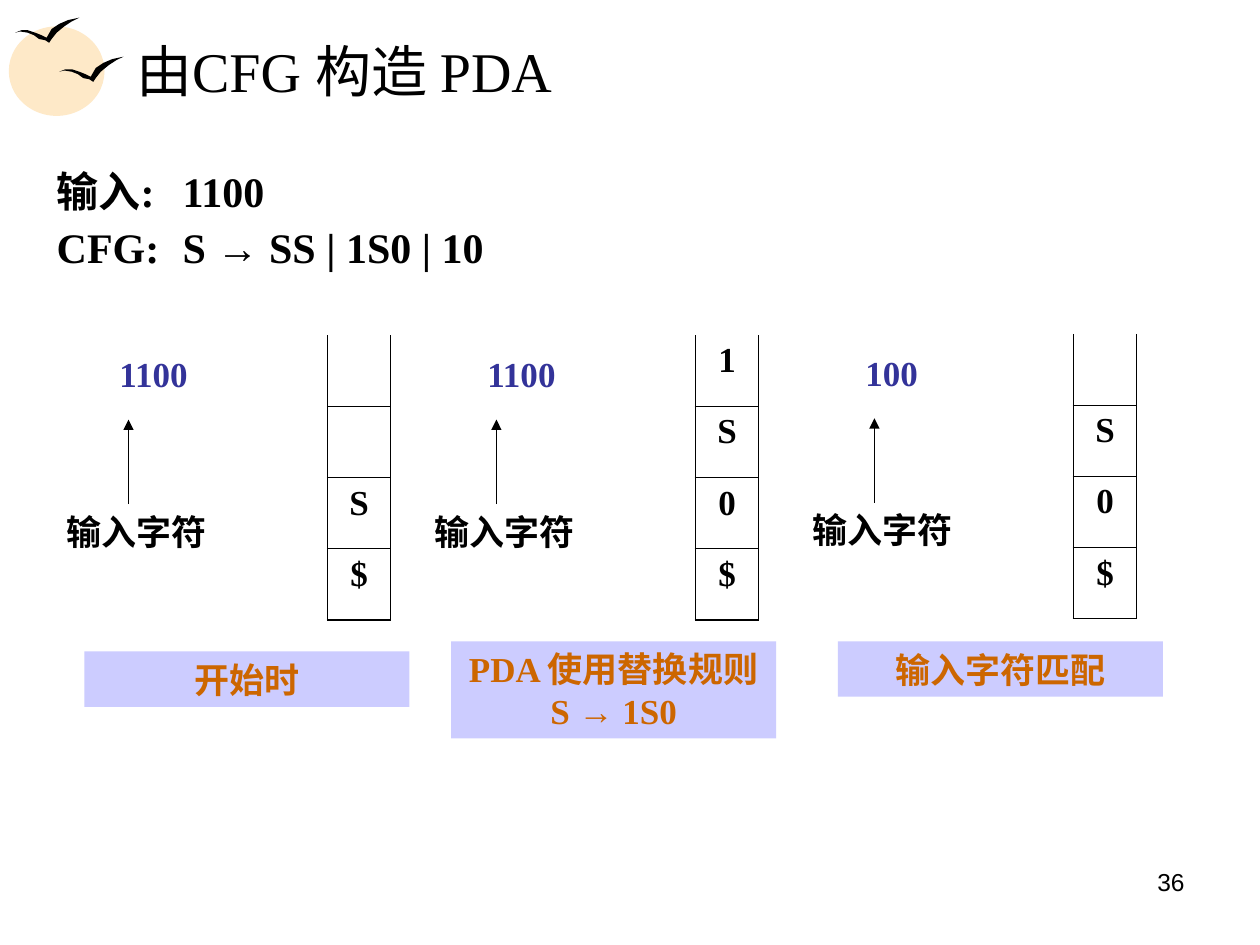
from dataclasses import dataclass

from lxml import etree
from pptx import Presentation
from pptx.dml.color import RGBColor
from pptx.enum.shapes import MSO_CONNECTOR, MSO_SHAPE
from pptx.enum.text import MSO_ANCHOR, MSO_AUTO_SIZE, PP_ALIGN
from pptx.oxml import parse_xml
from pptx.oxml.ns import nsdecls, qn
from pptx.util import Inches, Pt

LEFT, CENTER, RIGHT = PP_ALIGN.LEFT, PP_ALIGN.CENTER, PP_ALIGN.RIGHT
TOP, MIDDLE = MSO_ANCHOR.TOP, MSO_ANCHOR.MIDDLE
NO_AUTOFIT = MSO_AUTO_SIZE.NONE
OVAL, RECTANGLE = MSO_SHAPE.OVAL, MSO_SHAPE.RECTANGLE
STRAIGHT = MSO_CONNECTOR.STRAIGHT


@dataclass(frozen=True)
class Theme:
    serif: str = "Times New Roman"
    sans: str = "Arial"
    ink: str = "000000"
    input_blue: str = "333399"
    caption_text: str = "CC6600"
    caption_fill: str = "CCCCFF"
    sun: str = "FEE9C8"
    title_size: float = 32
    body_size: float = 24
    label_size: float = 20
    number_size: float = 14
    thin: float = 0.45
    arrow: float = 0.75
    thick: float = 1.08


THEME = Theme()
ARROW_SIGN = "→"
# Hundredths of an inch, from the left wing tip along the upper edge and back
BIRD_OUTLINE = [
    (0, 12), (5, 10), (10, 10), (16, 12), (21, 14), (25, 16), (29, 9),
    (35, 5), (42, 2), (51, 0), (45, 3), (39, 7), (33, 12), (29, 17),
    (27, 20), (24, 18), (19, 17), (15, 14), (10, 12), (4, 11),
]
# Panel left and top, remaining input, stack, caption, caption box
PANELS = [
    (0.43, 2.66, "1100", ["", "", "S", "$"], "开始时",
     (0.67, 5.17, 2.58, 0.44)),
    (3.35, 2.66, "1100", ["1", "S", "0", "$"], "PDA 使用替换规则S → 1S0",
     (3.58, 5.09, 2.58, 0.77)),
    (6.35, 2.65, "100", ["", "S", "0", "$"], "输入字符匹配",
     (6.65, 5.09, 2.58, 0.44)),
]


def inches(*lengths):
    return [Inches(length) for length in lengths]


def write(para, text, size, color=THEME.ink, bold=True, align=LEFT, font=THEME.serif):
    """Fill a paragraph, setting any arrow sign in the sans font."""
    before, sign, after = text.partition(ARROW_SIGN)
    para.text = before
    for part in filter(None, (sign, after)):
        para.add_run().text = part
    para.alignment = align
    for span in para.runs:
        span.font.name = THEME.sans if span.text == ARROW_SIGN else font
        span.font.size = Pt(size)
        span.font.bold = bold
        span.font.color.rgb = RGBColor.from_string(color)


def paint(shape, color):
    shape.shadow.inherit = False
    shape.fill.solid()
    shape.fill.fore_color.rgb = RGBColor.from_string(color)
    shape.line.fill.background()


def add_text(page, box, text, size, **style):
    frame = page.shapes.add_textbox(*inches(*box)).text_frame
    frame.word_wrap = True
    write(frame.paragraphs[0], text, size, **style)


def add_emblem(page, left, top):
    """Draw the sun with two birds over it."""
    sun = page.shapes.add_shape(OVAL, *inches(left, top + 0.07, 0.76, 0.71))
    paint(sun, THEME.sun)
    for x, y in ((0.4, 0.31), (0.05, 0)):
        builder = page.shapes.build_freeform(*BIRD_OUTLINE[0], scale=Inches(0.01))
        builder.add_line_segments(BIRD_OUTLINE[1:], close=True)
        paint(builder.convert_to_shape(*inches(left + x, top + y)), THEME.ink)


def place(holder, box, anchor):
    holder.left, holder.top, holder.width, holder.height = inches(*box)
    frame = holder.text_frame
    frame.word_wrap = True
    frame.auto_size = NO_AUTOFIT
    frame.vertical_anchor = anchor
    return frame


def add_title(page, box, text):
    frame = place(page.shapes.title, box, MIDDLE)
    write(frame.paragraphs[0], text, THEME.title_size, bold=False)


def add_grammar(page, box, lines):
    frame = place(page.placeholders[1], box, TOP)
    for index, line in enumerate(lines):
        para = frame.add_paragraph() if index else frame.paragraphs[0]
        props = para._p.get_or_add_pPr()
        props.set("marL", "0")
        props.set("indent", "0")
        etree.SubElement(props, qn("a:buNone"))
        stops = etree.SubElement(props, qn("a:tabLst"))
        etree.SubElement(stops, qn("a:tab"), pos=str(Inches(1)), algn="l")
        para.line_spacing = 0.9
        para.space_before = Pt(6 if index else 0)
        write(para, line, THEME.body_size)


def set_border(cell, side, width):
    """Draw one side of a cell, or hide it when the width is 0."""
    paint_xml = (f'<a:solidFill><a:srgbClr val="{THEME.ink}"/></a:solidFill>'
                 if width else "<a:noFill/>")
    cell._tc.get_or_add_tcPr().append(parse_xml(
        f'<a:ln{side} {nsdecls("a")} w="{Pt(width)}">{paint_xml}</a:ln{side}>'))


def add_stack(page, box, symbols):
    """Draw a pushdown stack, open at the top."""
    table = page.shapes.add_table(len(symbols), 1, *inches(*box)).table
    table.first_row = table.horz_banding = False
    last = len(symbols) - 1
    for index, symbol in enumerate(symbols):
        cell = table.cell(index, 0)
        sides = {"L": THEME.thick, "R": THEME.thick,
                 "T": THEME.thin if index else 0,
                 "B": THEME.thick if index == last else THEME.thin}
        for side, width in sides.items():
            set_border(cell, side, width)
        cell.fill.background()
        write(cell.text_frame.paragraphs[0], symbol, THEME.label_size, align=CENTER)


def add_pointer(page, x, bottom, top):
    line = page.shapes.add_connector(STRAIGHT, *inches(x, bottom, x, top))
    line.line.width = Pt(THEME.arrow)
    line.line.color.rgb = RGBColor.from_string(THEME.ink)
    etree.SubElement(line.line._get_or_add_ln(), qn("a:tailEnd"), type="triangle")
    etree.SubElement(line._element.spPr, qn("a:effectLst"))


def add_caption(page, box, text):
    band = page.shapes.add_shape(RECTANGLE, *inches(*box))
    paint(band, THEME.caption_fill)
    band.text_frame.word_wrap = True
    write(band.text_frame.paragraphs[0], text, THEME.label_size,
          color=THEME.caption_text, align=CENTER)


def add_panel(page, left, top, remaining, symbols, caption, caption_box):
    """Show one PDA step: remaining input, pointer, stack and caption."""
    add_text(page, (left + 0.42, top + 0.09, 1.5, 0.44), remaining,
             THEME.label_size, color=THEME.input_blue)
    add_stack(page, (left + 2.17, top, 0.5, 2.26), symbols)
    add_caption(page, caption_box, caption)
    add_pointer(page, left + 0.59, top + 1.34, top + 0.67)
    add_text(page, (left, top + 1.34, 1.5, 0.44), "输入字符", THEME.label_size)


def main():
    deck = Presentation()
    deck.slide_width, deck.slide_height = inches(10, 7.5)
    page = deck.slides.add_slide(deck.slide_layouts[1])
    add_emblem(page, 0.07, 0.14)
    add_title(page, (0.98, 0.21, 8.53, 0.69), "由CFG 构造 PDA")
    add_grammar(page, (0.35, 1.31, 9.37, 1.02),
                ["输入:\t1100", "CFG:\tS → SS | 1S0 | 10"])
    for panel in PANELS:
        add_panel(page, *panel)
    add_text(page, (7.17, 6.83, 2.33, 0.52), "36", THEME.number_size,
             bold=False, align=RIGHT, font=THEME.sans)
    deck.save("out.pptx")


if __name__ == "__main__":
    main()
